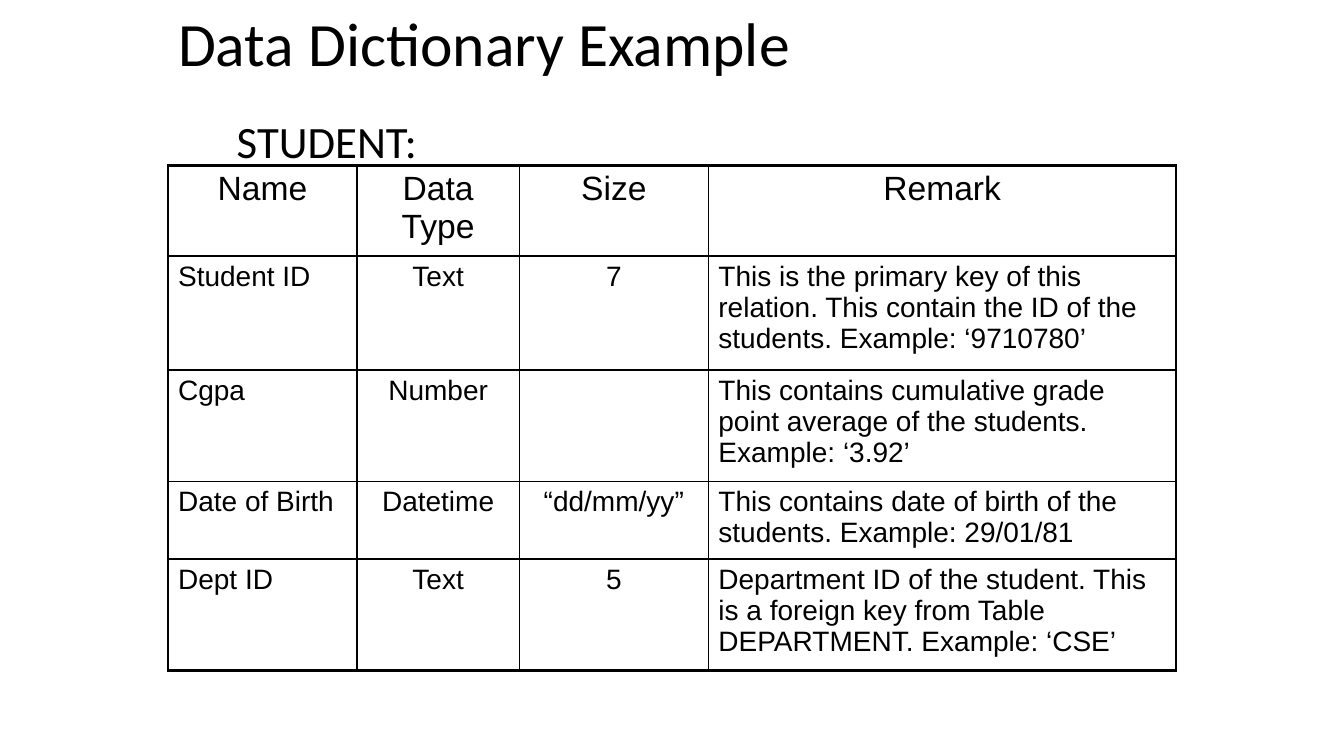
from dataclasses import dataclass

from lxml.etree import SubElement
from pptx import Presentation
from pptx.dml.color import RGBColor
from pptx.enum.text import MSO_ANCHOR, PP_ALIGN
from pptx.oxml import parse_xml
from pptx.oxml.ns import nsdecls, qn
from pptx.util import Pt

BLACK = RGBColor(0, 0, 0)
OUTER, INNER = 2.25, 1
ROW_HEIGHTS = (64, 81.5, 79.5, 55.5, 79.5)


@dataclass(frozen=True)
class Column:
    heading: str
    width: float
    align: PP_ALIGN


COLUMNS = (
    Column("Name", 135, PP_ALIGN.LEFT),
    Column("Data Type", 116, PP_ALIGN.CENTER),
    Column("Size", 135, PP_ALIGN.CENTER),
    Column("Remark", 334, PP_ALIGN.LEFT),
)


@dataclass(frozen=True)
class Field:
    name: str
    data_type: str
    size: str
    remark: str


FIELDS = (
    Field("Student ID", "Text", "7",
          "This is the primary key of this relation. This contain the ID "
          "of the students. Example: ‘9710780’"),
    Field("Cgpa", "Number", "",
          "This contains cumulative grade point average of the students. "
          "Example: ‘3.92’"),
    Field("Date of Birth", "Datetime", "“dd/mm/yy”",
          "This contains date of birth of the students. Example: 29/01/81"),
    Field("Dept ID", "Text", "5",
          "Department ID of the student. This is a foreign key from Table "
          "DEPARTMENT. Example: ‘CSE’"),
)


def write(tf, text: str, font: str, size: float, align=PP_ALIGN.LEFT):
    """Fill the first paragraph and return it."""
    p = tf.paragraphs[0]
    p.alignment = align
    target = p.font
    if text:
        r = p.add_run()
        r.text = text
        target = r.font
    for key, value in {"name": font, "size": Pt(size)}.items():
        setattr(target, key, value)
    target.color.rgb = BLACK
    return p


def set_borders(cell, widths: dict[str, float]) -> None:
    tc_pr = cell._tc.get_or_add_tcPr()
    for i, (side, width) in enumerate(widths.items()):
        tc_pr.insert(i, parse_xml(
            f'<a:ln{side} {nsdecls("a")} w="{Pt(width)}"><a:solidFill>'
            f'<a:srgbClr val="{BLACK}"/></a:solidFill></a:ln{side}>'))


def fill_cell(cell, text: str, size: float, align: PP_ALIGN) -> None:
    cell.fill.background()
    p = write(cell.text_frame, text, "Arial", size, align)
    # Space before as a share of the text size
    before = SubElement(p._p.get_or_add_pPr(), qn("a:spcBef"))
    SubElement(before, qn("a:spcPct"), val="20000")


def add_dictionary(s) -> None:
    rows = [[c.heading for c in COLUMNS]]
    rows += [[f.name, f.data_type, f.size, f.remark] for f in FIELDS]
    last_row, last_col = len(rows) - 1, len(COLUMNS) - 1
    table = s.shapes.add_table(
        len(rows), len(COLUMNS), Pt(120), Pt(118), Pt(720), Pt(360)).table
    table.first_row = table.horz_banding = False
    for column, col in zip(table.columns, COLUMNS):
        column.width = Pt(col.width)
    for i, (values, height) in enumerate(zip(rows, ROW_HEIGHTS)):
        table.rows[i].height = Pt(height)
        for j, (text, col) in enumerate(zip(values, COLUMNS)):
            cell = table.cell(i, j)
            if i == 0:
                fill_cell(cell, text, 24, PP_ALIGN.CENTER)
            else:
                fill_cell(cell, text, 20, col.align)
            edges = {"L": j == 0, "R": j == last_col,
                     "T": i == 0, "B": i == last_row}
            set_borders(cell, {side: OUTER if edge else INNER
                               for side, edge in edges.items()})


def main() -> None:
    prs = Presentation()
    prs.slide_width, prs.slide_height = Pt(960), Pt(540)
    s = prs.slides.add_slide(prs.slide_layouts[5])

    # Title
    title = s.shapes.title
    box = {"left": 120, "top": 0, "width": 720, "height": 66}
    for key, value in box.items():
        setattr(title, key, Pt(value))
    title.text_frame.vertical_anchor = MSO_ANCHOR.MIDDLE
    p = write(title.text_frame, "Data Dictionary Example", "Calibri", 44)
    p.line_spacing = 0.9

    # Relation name
    sp = s.shapes.add_textbox(Pt(162), Pt(78), Pt(145), Pt(46))
    sp.text_frame.word_wrap = False
    write(sp.text_frame, "STUDENT:", "Calibri", 32)

    # Data dictionary
    add_dictionary(s)
    prs.save("out.pptx")


if __name__ == "__main__":
    main()
